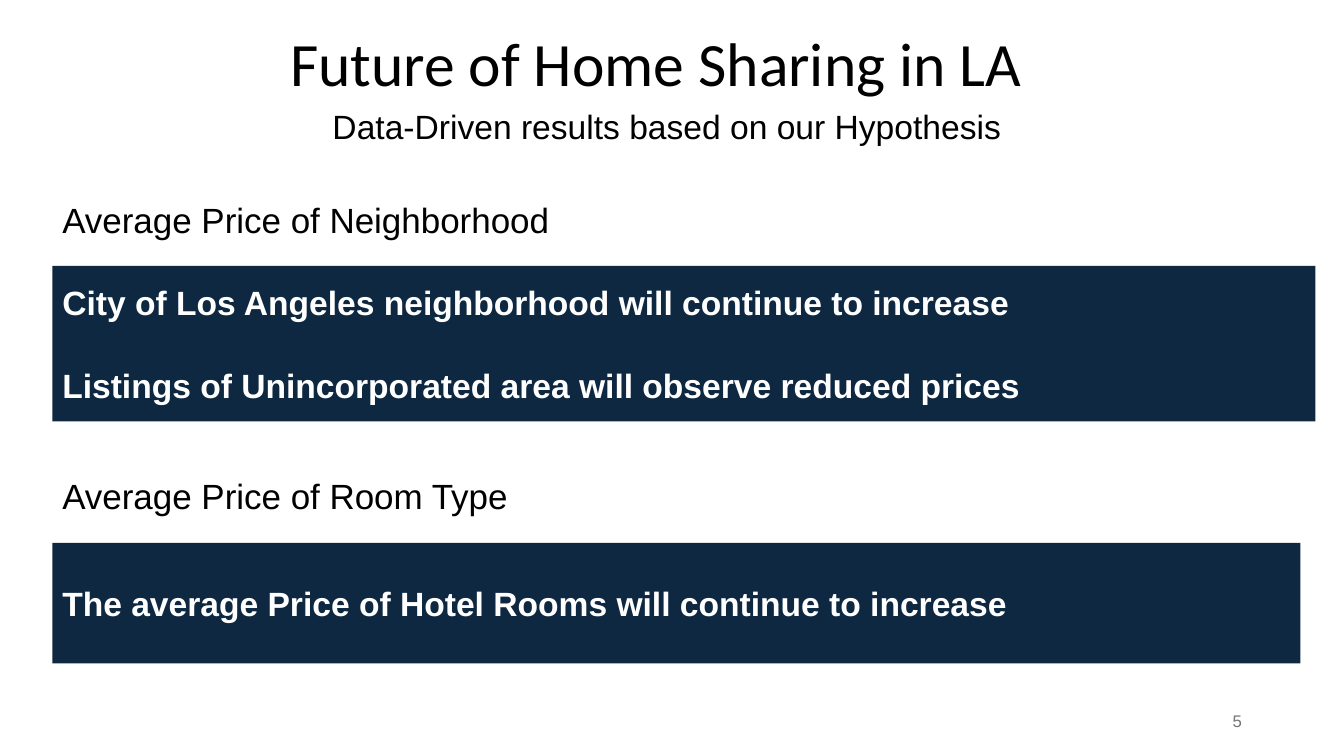
from pptx import Presentation
from pptx.dml.color import RGBColor
from pptx.enum.shapes import MSO_SHAPE
from pptx.enum.text import MSO_ANCHOR, PP_ALIGN
from pptx.util import Cm, Pt

COLORS = {"black": "000000", "navy": "0E2841", "white": "FFFFFF", "gray": "757575"}
LEFT = 1.32


def write(box, *lines, size=24, font="Arial", color="black", bold=False,
          align=PP_ALIGN.LEFT, anchor=MSO_ANCHOR.TOP, gap=0, line_spacing=None):
    """Fill a shape with one paragraph per line, gap points apart."""
    frame = box.text_frame
    frame.word_wrap = True
    frame.vertical_anchor = anchor
    for index, line in enumerate(lines):
        para = frame.add_paragraph() if index else frame.paragraphs[0]
        para.alignment = align
        if index:
            para.space_before = Pt(gap)
        if line_spacing:
            para.line_spacing = line_spacing
        span = para.add_run()
        span.text = line
        span.font.size = Pt(size)
        span.font.name = font
        span.font.bold = bold
        span.font.color.rgb = RGBColor.from_string(COLORS[color])


class SlideBuilder:
    def __init__(self, deck):
        self.slide = deck.slides.add_slide(deck.slide_layouts[6])

    def text(self, left, top, width, height, *lines, **style):
        box = self.slide.shapes.add_textbox(Cm(left), Cm(top), Cm(width), Cm(height))
        write(box, *lines, **style)

    def panel(self, left, top, width, height, *lines, fill="navy", **style):
        box = self.slide.shapes.add_shape(
            MSO_SHAPE.RECTANGLE, Cm(left), Cm(top), Cm(width), Cm(height))
        box.shadow.inherit = False
        box.fill.solid()
        box.fill.fore_color.rgb = RGBColor.from_string(COLORS[fill])
        box.line.fill.background()
        write(box, *lines, **style)


def main():
    deck = Presentation()
    deck.slide_width, deck.slide_height = Cm(33.87), Cm(19.05)
    builder = SlideBuilder(deck)
    finding = {"color": "white", "bold": True, "anchor": MSO_ANCHOR.MIDDLE, "gap": 30}

    builder.text(7.06, -0.15, 29.21, 3.68, "Future of Home Sharing in LA",
                 size=44, font="Calibri", anchor=MSO_ANCHOR.MIDDLE, line_spacing=0.9)
    builder.panel(LEFT, 6.7, 31.83, 3.92,
                  "City of Los Angeles neighborhood will continue to increase",
                  "Listings of Unincorporated area will observe reduced prices", **finding)
    builder.panel(LEFT, 13.68, 31.45, 3.04,
                  "The average Price of Hotel Rooms will continue to increase", **finding)
    builder.text(LEFT, 4.88, 13.97, 1.32, "Average Price of Neighborhood", size=25)
    builder.panel(LEFT, 11.83, 13.74, 1.32, "Average Price of Room Type",
                  fill="white", size=25)
    builder.text(8.13, 2.54, 17.68, 2.31, "Data-Driven results based on our Hypothesis")
    builder.text(23.93, 17.65, 7.62, 1.01, "5", size=12, color="gray",
                 align=PP_ALIGN.RIGHT, anchor=MSO_ANCHOR.MIDDLE)
    deck.save("out.pptx")


if __name__ == "__main__":
    main()
